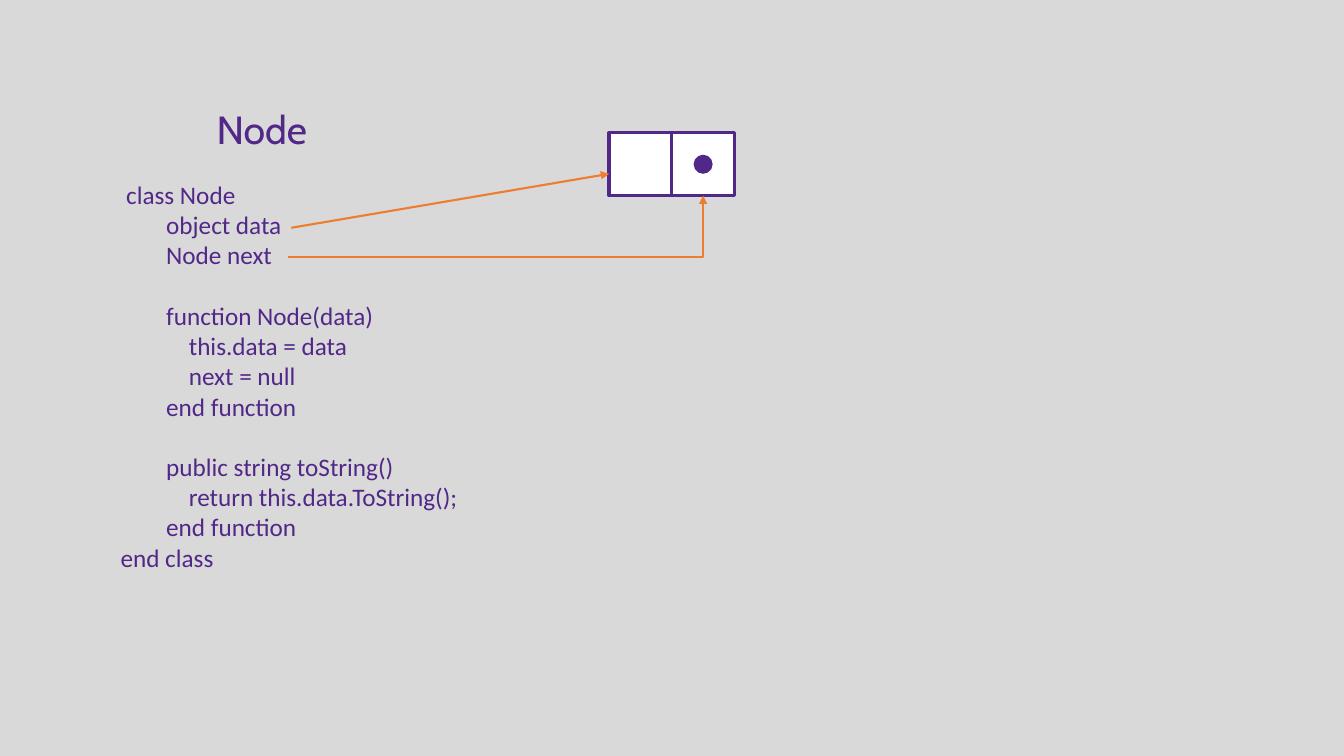
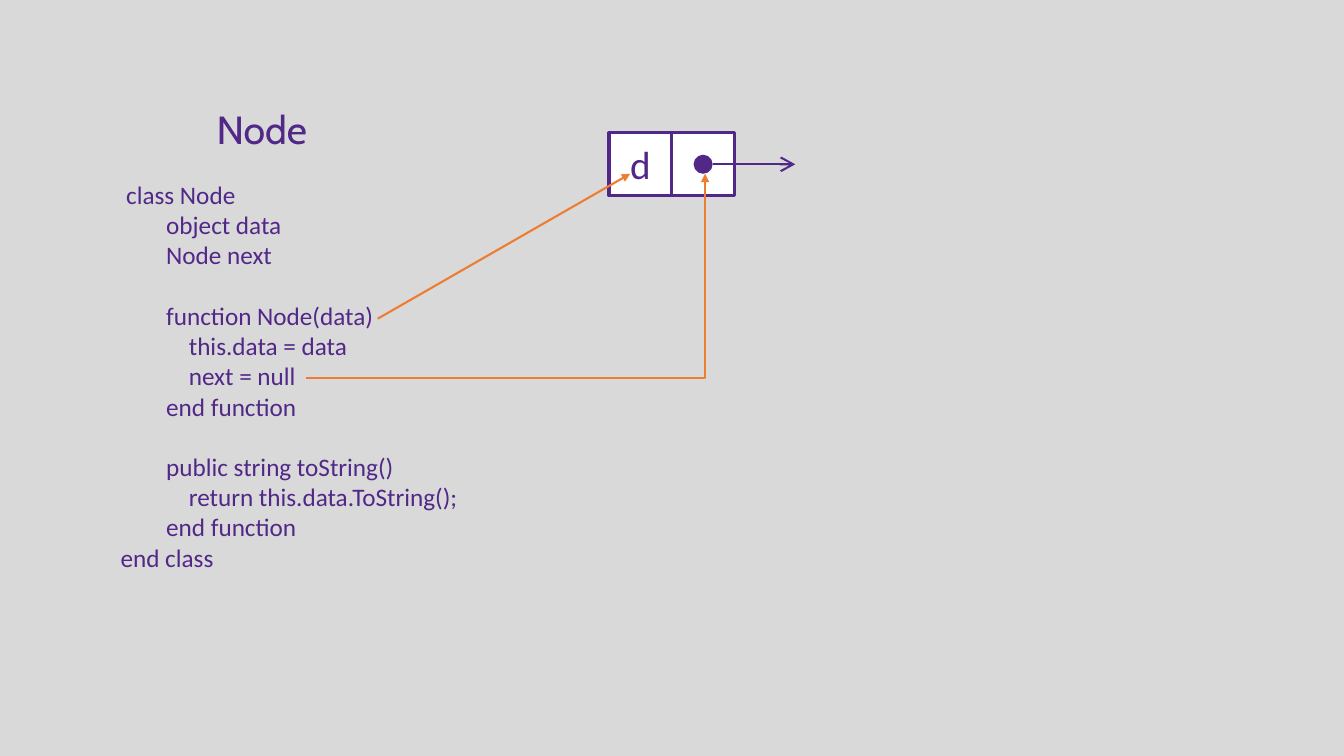
from lxml.etree import SubElement
from pptx import Presentation
from pptx.dml.color import RGBColor
from pptx.enum.shapes import MSO_CONNECTOR, MSO_SHAPE
from pptx.enum.text import MSO_ANCHOR, PP_ALIGN
from pptx.oxml.ns import qn
from pptx.util import Cm, Pt

PURPLE, ORANGE, WHITE, GREY = "512888", "ED7D31", "FFFFFF", "D9D9D9"
CELL_X, CELL_Y, CELL = 15.35, 3.35, 1.58
DOT = 0.48
CENTRE_X, CENTRE_Y = CELL_X + 1.5 * CELL, CELL_Y + CELL / 2
LINE_PT = 21.6

# (indent in cm, text, blank lines above)
CODE = [
    (0.14, "class Node", 0),
    (1.15, "object data", 0),
    (1.15, "Node next", 0),
    (1.15, "function Node(data)", 1),
    (1.72, "this.data = data", 0),
    (1.72, "next = null", 0),
    (1.15, "end function", 0),
    (1.15, "public string toString()", 1),
    (1.72, "return this.data.ToString();", 0),
    (1.15, "end function", 0),
    (0, "end class", 0),
]


def color(hex_string):
    return RGBColor.from_string(hex_string)


def add_run(p, text, size, font="Calibri"):
    r = p.add_run()
    r.text = text
    r.font.size = Pt(size)
    r.font.name = font
    r.font.color.rgb = color(PURPLE)


def text_frame(s, x, y, w, h):
    tf = s.shapes.add_textbox(Cm(x), Cm(y), Cm(w), Cm(h)).text_frame
    tf.word_wrap = True
    return tf


def add_title(s, text):
    tf = text_frame(s, 5.21, 2.54, 4, 1.45)
    add_run(tf.paragraphs[0], text, 28, "Cabin")


def add_code(s, lines):
    tf = text_frame(s, 2.79, 4.39, 16.94, 10.26)
    for i, (indent, text, blank) in enumerate(lines):
        p = tf.add_paragraph() if i else tf.paragraphs[0]
        p.space_before = Pt(blank * LINE_PT)
        pPr = p._p.get_or_add_pPr()
        pPr.set("marL", str(Cm(indent)))
        pPr.set("indent", "0")
        add_run(p, text, 18)


def add_solid(s, kind, x, y, size, fill):
    sp = s.shapes.add_shape(kind, Cm(x), Cm(y), Cm(size), Cm(size))
    sp.shadow.inherit = False
    sp.fill.solid()
    sp.fill.fore_color.rgb = color(fill)
    return sp


def add_cell(s, column, text=""):
    sp = add_solid(s, MSO_SHAPE.RECTANGLE, CELL_X + column * CELL, CELL_Y, CELL, WHITE)
    sp.line.color.rgb = color(PURPLE)
    sp.line.width = Pt(2.25)
    if text:
        tf = sp.text_frame
        tf.vertical_anchor = MSO_ANCHOR.MIDDLE
        p = tf.paragraphs[0]
        p.alignment = PP_ALIGN.CENTER
        add_run(p, text, 28)
    return sp


def add_node(s, data=""):
    """Draw the data cell and the next cell with its dot; return the next cell."""
    add_cell(s, 0, data)
    next_cell = add_cell(s, 1)
    dot = add_solid(s, MSO_SHAPE.OVAL, CENTRE_X - DOT / 2, CENTRE_Y - DOT / 2, DOT, PURPLE)
    dot.line.fill.background()
    return next_cell


def add_arrow(s, start, end, line=ORANGE, head="triangle", head_size="med", bent=False):
    """Draw an arrow; a bent one runs level first and then turns once."""
    kind = MSO_CONNECTOR.ELBOW if bent else MSO_CONNECTOR.STRAIGHT
    c = s.shapes.add_connector(kind, *(Cm(v) for v in (*start, *end)))
    c.line.color.rgb = color(line)
    c.line.width = Pt(1.5)
    spPr = c._element.spPr
    if bent:
        spPr.find(qn("a:prstGeom")).set("prst", "bentConnector2")
    tail = SubElement(spPr.find(qn("a:ln")), qn("a:tailEnd"))
    for name, value in (("type", head), ("w", head_size), ("len", head_size)):
        tail.set(name, value)
    SubElement(spPr, qn("a:effectLst"))
    return c


def add_node_slide(prs, data=""):
    s = prs.slides.add_slide(prs.slide_layouts[6])
    add_title(s, "Node")
    add_code(s, CODE)
    return s, add_node(s, data)


def main():
    prs = Presentation()
    prs.slide_width, prs.slide_height = Cm(33.87), Cm(19.05)
    fill = prs.slide_master.background.fill
    fill.solid()
    fill.fore_color.rgb = color(GREY)

    # Fields of the class
    s, next_cell = add_node_slide(prs)
    add_arrow(s, (7.34, 5.74), (CELL_X, 4.38))
    field_arrow = add_arrow(s, (7.25, 6.48), (CENTRE_X, CELL_Y + CELL), bent=True)
    field_arrow.end_connect(next_cell, 2)

    # Values set by the constructor
    s, _ = add_node_slide(prs, "d")
    add_arrow(s, (CENTRE_X + DOT / 2, CENTRE_Y), (20.04, CENTRE_Y), PURPLE, "arrow", "lg")
    add_arrow(s, (9.52, 8.03), (15.88, 4.38))
    add_arrow(s, (7.7, 9.53), (17.77, 4.38), bent=True)

    prs.save("out.pptx")


if __name__ == "__main__":
    main()
